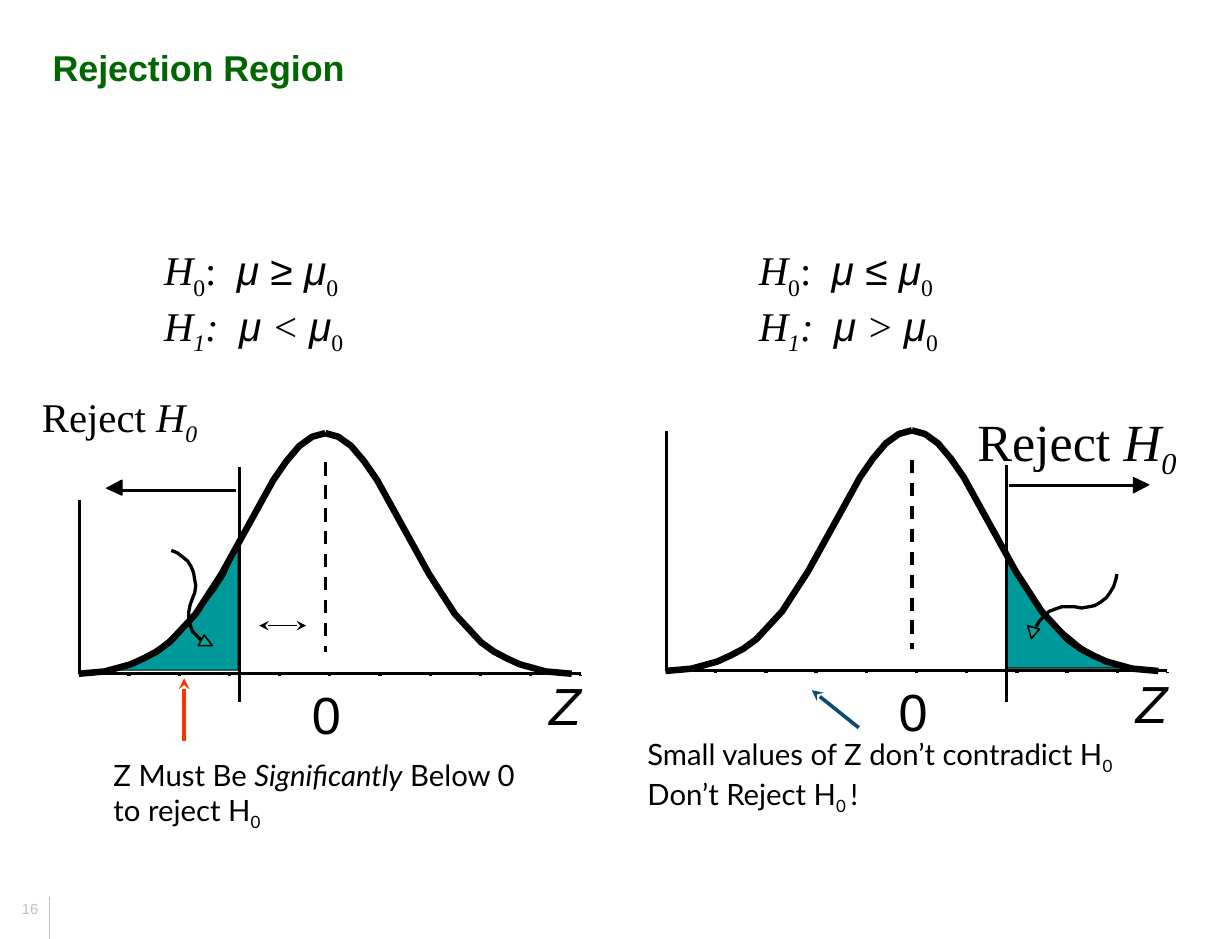
from pptx import Presentation
from pptx.dml.color import RGBColor as Rgb
from pptx.enum.dml import MSO_LINE as Dash
from pptx.enum.shapes import MSO_CONNECTOR as Conn
from pptx.enum.text import MSO_ANCHOR as Anchor
from pptx.oxml.ns import qn
from pptx.util import Pt
from lxml.etree import SubElement as Sub

INK = {"black": "000000", "title": "006600", "tail": "009999", "tip": "00A898",
       "red": "FF3300", "blue": "0B4B73", "grey": "BFBFBF"}
SERIF = "Times New Roman"

# Bell half: steps of 8 pt from the peak, and the drop at each
STEPS = [0, 1, 2, 3, 4, 5, 6, 8, 10, 12, 13, 14, 15, 16, 17, 19]
DROPS = [0, 2.2, 7.9, 17.3, 28.8, 43.2, 57.6, 86.4, 111, 128.2,
         134, 138.2, 141.8, 144, 146.2, 147.6]
# Tail edge as shares of its width and height, from the far end to the cut
EDGE = [(1, 1), (.88, .94), (.76, .88), (.65, .81), (.55, .73), (.45, .65),
        (.36, .55), (.27, .46), (.19, .36), (.11, .24), (.06, .13), (0, 0)]
LEFT_CURL = [(105.1, 337.7), (108.7, 339.1), (111.6, 341.3), (115.2, 344.2),
             (117.4, 347.8), (118.8, 351.4), (119.5, 355.7), (120.2, 359.3),
             (119.5, 363.6), (118.1, 367.2), (116.6, 371.5), (115.9, 375.1),
             (115.9, 379.4), (116.6, 383), (118.1, 387.4), (121, 390.2),
             (123.8, 393.1)]
RIGHT_CURL = [(685.4, 352.1), (684.7, 355.7), (683.3, 360), (681.1, 363.6),
              (679, 366.5), (675.4, 369.4), (671.8, 371.5), (668.2, 372.2),
              (663.8, 373), (659.5, 372.2), (655.2, 372.2), (651.6, 372.2),
              (647.3, 373.7), (643.7, 375.1), (640.8, 378), (637.9, 380.9),
              (635.8, 384.5)]


def color(name):
    return Rgb.from_string(INK[name])


def line(slide, x1, y1, x2, y2, ink="black", width=2, dash=False, ends=()):
    """Straight line; ends may hold headEnd (start) and tailEnd (finish)."""
    conn = slide.shapes.add_connector(
        Conn.STRAIGHT, Pt(x1), Pt(y1), Pt(x2), Pt(y2))
    conn.line.color.rgb = color(ink)
    conn.line.width = Pt(width)
    if dash:
        conn.line.dash_style = Dash.DASH
    for end in ends:
        Sub(conn.line._get_or_add_ln(), qn("a:" + end), type="stealth")
    Sub(conn._element.spPr, qn("a:effectLst"))


def path(slide, points, fill=None, width=2.0):
    """Outline through the points, closed when it has a fill."""
    spots = [(Pt(x), Pt(y)) for x, y in points]
    pen = slide.shapes.build_freeform(*spots[0])
    pen.add_line_segments(spots[1:], close=fill is not None)
    shape = pen.convert_to_shape()
    shape.shadow.inherit = False
    if fill:
        shape.fill.solid()
        shape.fill.fore_color.rgb = color(fill)
    else:
        shape.fill.background()
    shape.line.color.rgb = color("black")
    shape.line.width = Pt(width)


def text(slide, box, runs, size=25, font=SERIF, ink="black", bold=False,
         wrap=True, anchor=Anchor.TOP, inset=7.2):
    """Runs are (words, marks): i italic, s subscript, a Arial."""
    frame = slide.shapes.add_textbox(*map(Pt, box)).text_frame
    frame.word_wrap = wrap
    frame.vertical_anchor = anchor
    frame.margin_left = frame.margin_right = Pt(inset)
    frame.margin_top = frame.margin_bottom = Pt(3.6)
    para = frame.paragraphs[0]
    for words, marks in runs:
        if words == "\n":
            para.add_line_break()
            continue
        run = para.add_run()
        run.text = words
        run.font.size = Pt(size)
        run.font.name = "Arial" if "a" in marks else font
        run.font.color.rgb = color(ink)
        run.font.bold = bold
        run.font.italic = "i" in marks
        if "s" in marks:
            run._r.get_or_add_rPr().set("baseline", "-25000")


def tail(slide, x, y, wide, high):
    """Shaded region from the cut at x; a negative width goes left."""
    rim = [(x + wide * u, y + high * v) for u, v in EDGE]
    path(slide, [(x, y + high)] + rim, "tail", .75)


def bell(slide, dx, dy, top):
    """Normal curve with its axes, shifted by dx and dy."""
    mid, peak, base = 199.6 + dx, 265.7 + dy, 413.2 + dy
    line(slide, mid, peak + 18, mid, peak + 134, dash=True)
    for side in (1, -1):
        path(slide, [(mid + side * 7.96 * step, peak + drop)
                     for step, drop in zip(STEPS, DROPS)], width=4)
    path(slide, [(49 + dx, top), (49 + dx, base), (356.4 + dx, base)])
    for tick in range(10):
        x = 79.2 + dx + 30.8 * tick
        line(slide, x, base + 1, x, base + 1.4)
    text(slide, (329.8 + dx, 409.7 + dy, 34.6, 46), [("Z", "i")],
         size=32, font="Arial", wrap=False)
    text(slide, (184.3 + dx, 414.7 + dy, 33.1, 46), [("0", "")],
         size=32, font="Arial", wrap=False)


def pair(slide, x, null, other):
    """Null and alternative hypothesis."""
    text(slide, (x, 146.9, 158, 69.5), [
        ("H", "i"), ("0", "s"), (":  ", ""), (f"μ {null} μ", "ia"), ("0", "s"),
        ("\n", ""),
        ("H", "i"), ("1", "is"), (":  ", "i"), ("μ", "ia"),
        (f" {other} ", "i"), ("μ", "ia"), ("0", "s")])


def reject(slide, box, size, wrap):
    text(slide, box, [("Reject ", ""), ("H", "i"), ("0", "is")],
         size=size, wrap=wrap)


def main():
    deck = Presentation()
    deck.slide_width, deck.slide_height = Pt(756), Pt(576)
    slide = deck.slides.add_slide(deck.slide_layouts[6])

    line(slide, 30.2, 576, 30.2, 550, "grey", .5)
    text(slide, (5.8, 526.3, 26.6, 40.3), [("16", "")], size=9, font="Arial",
         ink="grey", anchor=Anchor.BOTTOM, inset=7.7)
    text(slide, (25.2, 0, 705.6, 82.8), [("Rejection Region", "")], size=22,
         font="Arial", ink="title", bold=True, anchor=Anchor.MIDDLE)

    # Upper tail
    tail(slide, 617.8, 337, 69.8, 72.7)
    bell(slide, 360, -1.7, 264.2)
    path(slide, RIGHT_CURL)
    path(slide, [(637.9, 385.9), (632.9, 391.7), (630.7, 383.8)], "tip", 1)
    reject(slide, (592.6, 247.7, 140.4, 46), 32, False)
    line(slide, 699, 298, 619, 298)
    path(slide, [(695.5, 302.4), (704.9, 297.4), (695.5, 293)], "black", .75)
    line(slide, 617.8, 430.6, 617.8, 285)

    # Lower tail
    tail(slide, 146.2, 334.8, -74.2, 76.3)
    bell(slide, 0, 0, 306.7)
    path(slide, LEFT_CURL)
    path(slide, [(125.3, 389.5), (130.3, 396), (121.7, 396)], "tip", 1)
    reject(slide, (18.7, 236.9, 152, 39), 25, True)
    line(slide, 74.9, 301, 144.7, 301)
    path(slide, [(74.9, 294.5), (65.5, 299.5), (74.9, 303.8)], "black", .75)
    line(slide, 146.9, 430.6, 146.9, 286.6)

    pair(slide, 93.6, "≥", "<")
    pair(slide, 458.6, "≤", ">")

    line(slide, 159.1, 383.8, 187.9, 383.8, width=1,
         ends=("headEnd", "tailEnd"))
    line(slide, 113, 416.2, 113, 454.3, "red", 2.25, ends=("headEnd",))
    line(slide, 498.2, 423.4, 527, 446.4, "blue", 2.25, ends=("headEnd",))
    text(slide, (62.6, 460.8, 271.4, 51.1), [
        ("Z Must Be ", ""), ("Significantly", "i"),
        (" Below 0 to reject H", ""), ("0", "s")], size=18, font="Lato")
    text(slide, (390.2, 447.8, 346.3, 51.1), [
        ("Small values of Z don’t contradict H", ""), ("0", "s"), ("\n", ""),
        ("Don’t Reject H", ""), ("0 ", "s"), ("!", "")], size=18, font="Lato")

    deck.save("out.pptx")


if __name__ == "__main__":
    main()
